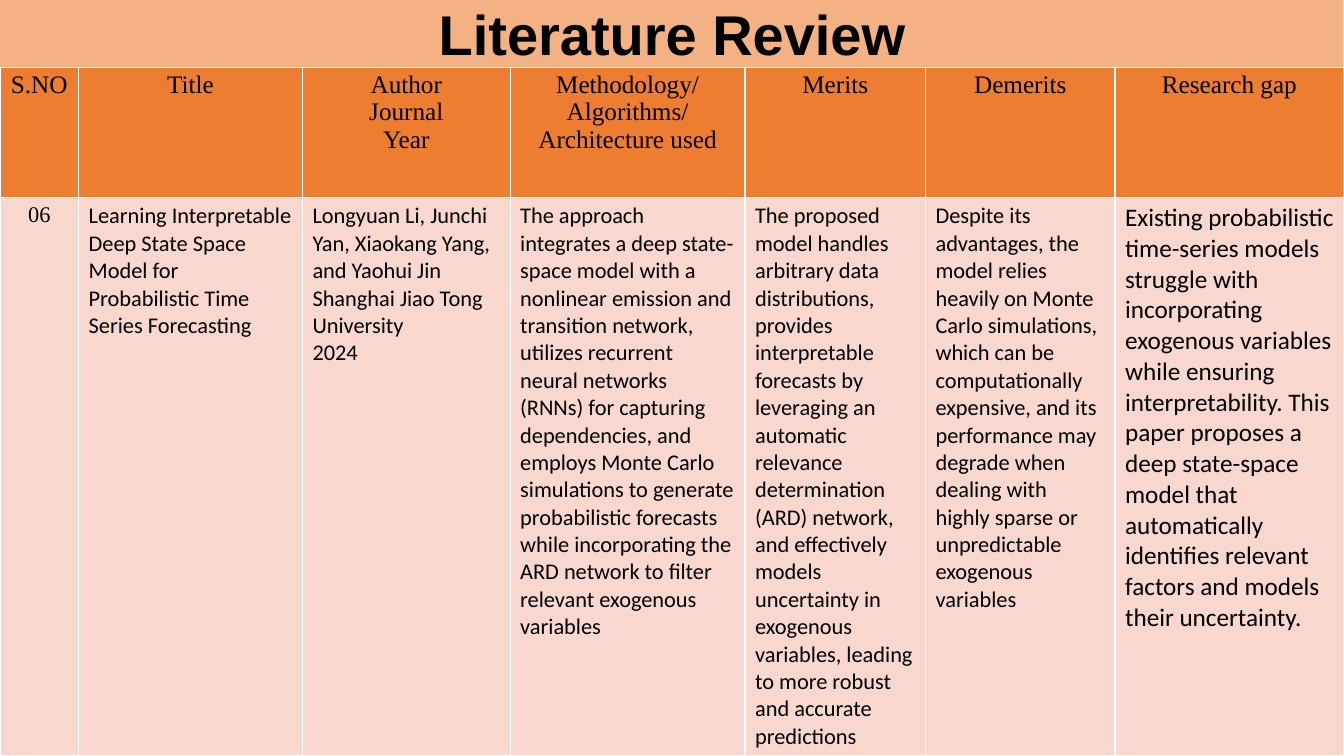
"""Build the literature review slide."""
import pptx
import pptx.dml.color
import pptx.enum.shapes
import pptx.enum.text
import pptx.oxml.ns
import pptx.util
from lxml import etree

Inches = pptx.util.Inches
Pt = pptx.util.Pt
CENTER = pptx.enum.text.PP_ALIGN.CENTER
LEFT = pptx.enum.text.PP_ALIGN.LEFT

COLORS = {"banner": "F4B183", "header": "ED7D31", "body": "F8D7CE",
          "rule": "FFFFFF", "ink": "000000"}
SERIF, SANS = "Times New Roman", "Calibri"
COLUMN_WIDTHS = [0.78, 2.22, 2.06, 2.33, 1.79, 1.88, 2.27]
ROW_HEIGHTS = [1.31, 5.54]

HEADINGS = [
    ["S.NO"],
    ["Title"],
    ["Author", "Journal", "Year"],
    ["Methodology/Algorithms/Architecture used"],
    ["Merits"],
    ["Demerits"],
    ["Research gap"],
]
PAPER = [
    ("06", SERIF, 16, CENTER),
    ("Learning Interpretable Deep State Space Model for Probabilistic Time "
     "Series Forecasting", SANS, 16, LEFT),
    ("Longyuan Li, Junchi Yan, Xiaokang Yang, and Yaohui Jin Shanghai Jiao "
     "Tong University\n2024", SANS, 16, LEFT),
    ("The approach integrates a deep state-space model with a nonlinear "
     "emission and transition network, utilizes recurrent neural networks "
     "(RNNs) for capturing dependencies, and employs Monte Carlo simulations "
     "to generate probabilistic forecasts while incorporating the ARD network "
     "to filter relevant exogenous variables", SANS, 16, LEFT),
    ("The proposed model handles arbitrary data distributions, provides "
     "interpretable forecasts by leveraging an automatic relevance "
     "determination (ARD) network, and effectively models uncertainty in "
     "exogenous variables, leading to more robust and accurate predictions",
     SANS, 16, LEFT),
    ("Despite its advantages, the model relies heavily on Monte Carlo "
     "simulations, which can be computationally expensive, and its "
     "performance may degrade when dealing with highly sparse or "
     "unpredictable exogenous variables", SANS, 16, LEFT),
    ("Existing probabilistic time-series models struggle with incorporating "
     "exogenous variables while ensuring interpretability. This paper "
     "proposes a deep state-space model that automatically identifies "
     "relevant factors and models their uncertainty.", SANS, 18, LEFT),
]


def rgb(name):
    """Return the named colour."""
    return pptx.dml.color.RGBColor.from_string(COLORS[name])


def write(frame, paragraphs, font, size, align, bold=False):
    """Fill a text frame, breaking lines inside a paragraph at newlines."""
    for index, text in enumerate(paragraphs):
        paragraph = frame.add_paragraph() if index else frame.paragraphs[0]
        paragraph.alignment = align
        for number, line in enumerate(text.split("\n")):
            if number:
                paragraph.add_line_break()
            run = paragraph.add_run()
            run.text = line
            run.font.name = font
            run.font.size = Pt(size)
            run.font.bold = bold
            run.font.color.rgb = rgb("ink")


def style_cell(cell, fill):
    """Give a cell thin white borders and a solid fill."""
    qn = pptx.oxml.ns.qn
    properties = cell._tc.get_or_add_tcPr()
    for side in ("lnL", "lnR", "lnT", "lnB"):
        border = etree.SubElement(properties, qn("a:" + side), w=str(Pt(1)))
        solid = etree.SubElement(border, qn("a:solidFill"))
        etree.SubElement(solid, qn("a:srgbClr"), val=COLORS["rule"])
    cell.fill.solid()
    cell.fill.fore_color.rgb = rgb(fill)


def add_review_table(slide, left, top, width, height):
    """Place the table of reviewed papers in the given box."""
    review = slide.shapes.add_table(
        len(ROW_HEIGHTS), len(COLUMN_WIDTHS), Inches(left), Inches(top),
        Inches(width), Inches(height)).table
    for column, share in zip(review.columns, COLUMN_WIDTHS):
        column.width = Inches(width * share / sum(COLUMN_WIDTHS))
    for row, share in zip(review.rows, ROW_HEIGHTS):
        row.height = Inches(height * share / sum(ROW_HEIGHTS))
    for index, (heading, entry) in enumerate(zip(HEADINGS, PAPER)):
        heading_cell, entry_cell = review.cell(0, index), review.cell(1, index)
        style_cell(heading_cell, "header")
        write(heading_cell.text_frame, heading, SERIF, 18, CENTER)
        style_cell(entry_cell, "body")
        text, font, size, align = entry
        write(entry_cell.text_frame, [text], font, size, align)


def add_banner(slide, left, top, width, height):
    """Place the title banner in the given box."""
    banner = slide.shapes.add_shape(
        pptx.enum.shapes.MSO_SHAPE.RECTANGLE, Inches(left), Inches(top),
        Inches(width), Inches(height))
    banner.shadow.inherit = False
    banner.fill.solid()
    banner.fill.fore_color.rgb = rgb("banner")
    banner.line.color.rgb = rgb("rule")
    banner.line.width = Pt(0.75)
    frame = banner.text_frame
    frame.margin_left = frame.margin_right = 0
    frame.margin_top = frame.margin_bottom = 0
    frame.word_wrap = True
    frame.auto_size = pptx.enum.text.MSO_AUTO_SIZE.SHAPE_TO_FIT_TEXT
    frame.vertical_anchor = pptx.enum.text.MSO_ANCHOR.TOP
    write(frame, ["Literature Review"], "Arial", 40, CENTER, bold=True)


def main():
    """Build and save the presentation."""
    deck = pptx.Presentation()
    deck.slide_width, deck.slide_height = Inches(13.33), Inches(7.5)
    slide = deck.slides.add_slide(deck.slide_layouts[6])
    add_review_table(slide, 0, 0.65, 13.33, 6.85)
    add_banner(slide, 0, 0, 13.33, 0.67)
    deck.save("out.pptx")


if __name__ == "__main__":
    main()
